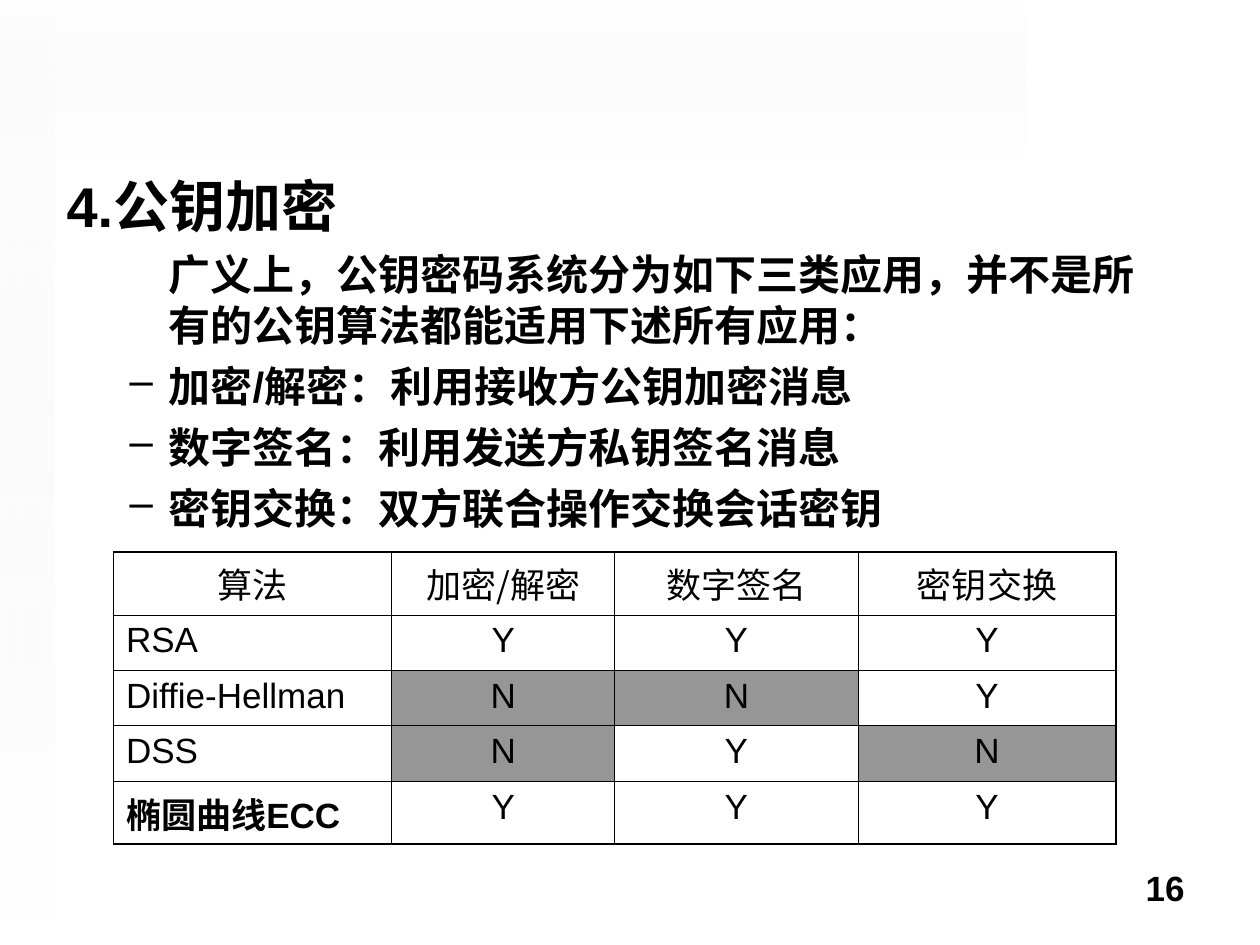
"""Build the slide on public-key encryption applications."""
from dataclasses import dataclass

import lxml.etree
import pptx
import pptx.dml.color
import pptx.enum.shapes
import pptx.enum.text
import pptx.oxml.ns
import pptx.util

Inches = pptx.util.Inches
qn = pptx.oxml.ns.qn
Align = pptx.enum.text.PP_ALIGN


@dataclass(frozen=True)
class Theme:
    """Colours, fonts and sizes used on the slide."""

    ink: str = "000000"
    paper: str = "FFFFFF"
    shade: str = "969696"
    mist: str = "EAEAEA"
    latin: str = "Arial"
    chinese: str = "Noto Sans CJK SC"
    title: int = 32
    body: int = 24
    small: int = 20
    outer_line: float = 1.08
    inner_line: float = 0.45


THEME = Theme()

TITLE = "4.公钥加密"
INTRO = "广义上，公钥密码系统分为如下三类应用，并不是所有的公钥算法都能适用下述所有应用："
APPLICATIONS = [
    "加密/解密：利用接收方公钥加密消息",
    "数字签名：利用发送方私钥签名消息",
    "密钥交换：双方联合操作交换会话密钥",
]
ALGORITHMS = [
    ["算法", "加密/解密", "数字签名", "密钥交换"],
    ["RSA", "Y", "Y", "Y"],
    ["Diffie-Hellman", "N", "N", "Y"],
    ["DSS", "N", "Y", "N"],
    ["椭圆曲线ECC", "Y", "Y", "Y"],
]
COLUMN_WIDTHS = [2.21, 1.77, 1.93, 2.05]
ROW_HEIGHTS = [0.5, 0.44, 0.44, 0.44, 0.5]


def colour(value):
    """Return an RGB colour from its hexadecimal form."""
    return pptx.dml.color.RGBColor.from_string(value)


def add_element(parent, tag, **attributes):
    """Append a drawing element and return it."""
    return lxml.etree.SubElement(parent, qn(tag), attributes)


def format_paragraph(paragraph, size, bold=True, latin=THEME.latin):
    """Apply the type style to every span of a paragraph."""
    for span in paragraph.runs:
        span.font.size = pptx.util.Pt(size)
        span.font.bold = bold
        span.font.name = latin
        span.font.color.rgb = colour(THEME.ink)
        add_element(span.font._element, "a:ea", typeface=THEME.chinese)


def add_gradient_band(page, left, top, width, height, rotation, angle, opacity):
    """Add a faint background band that fades in to white."""
    band = page.shapes.add_shape(
        pptx.enum.shapes.MSO_SHAPE.RECTANGLE,
        Inches(left), Inches(top), Inches(width), Inches(height))
    band.rotation = rotation
    band.shadow.inherit = False
    band.line.fill.background()
    band.fill.gradient()
    band.fill.gradient_angle = angle
    for stop, value in zip(band.fill.gradient_stops, (THEME.mist, THEME.paper)):
        stop.color.rgb = colour(value)
    stops = band.element.spPr.iter(qn("a:srgbClr"))
    for stop, percent in zip(stops, (0, opacity)):
        add_element(stop, "a:alpha", val=str(percent * 1000))


def add_text_box(page, left, top, width, height):
    """Add a wrapping text box and return its frame."""
    box = page.shapes.add_textbox(
        Inches(left), Inches(top), Inches(width), Inches(height))
    box.text_frame.word_wrap = True
    return box.text_frame


def set_indent(paragraph, margin, first_line):
    """Set the left margin and the first-line indent."""
    properties = paragraph._p.get_or_add_pPr()
    properties.set("marL", str(Inches(margin)))
    properties.set("indent", str(Inches(first_line)))
    return properties


def add_body_paragraph(frame, text, bullet=False):
    """Add a second-level paragraph, with a dash if asked."""
    paragraph = frame.add_paragraph()
    paragraph.text = text
    paragraph.level = 1
    paragraph.space_before = pptx.util.Pt(6)
    properties = set_indent(paragraph, 0.81, -0.31 if bullet else 0)
    if bullet:
        bullet_colour = add_element(properties, "a:buClr")
        add_element(bullet_colour, "a:srgbClr", val=THEME.ink)
        add_element(properties, "a:buChar", char="–")
    format_paragraph(paragraph, THEME.body)


def add_body(page):
    """Add the heading, the introduction and the list of applications."""
    frame = add_text_box(page, 0.43, 1.31, 8.82, 3.0)
    heading = frame.paragraphs[0]
    heading.text = TITLE
    set_indent(heading, 0.38, -0.38)
    format_paragraph(heading, THEME.title)
    add_body_paragraph(frame, INTRO)
    for application in APPLICATIONS:
        add_body_paragraph(frame, application, bullet=True)


def set_borders(cell, outer_sides):
    """Draw the cell borders, heavier on the outer sides."""
    properties = cell._tc.get_or_add_tcPr()
    for side in "LRTB":
        width = THEME.outer_line if side in outer_sides else THEME.inner_line
        line = add_element(properties, f"a:ln{side}", w=str(pptx.util.Pt(width)))
        fill = add_element(line, "a:solidFill")
        add_element(fill, "a:srgbClr", val=THEME.ink)


def add_algorithm_table(page):
    """Add the table of algorithms and the applications they support."""
    last_row, last_column = len(ALGORITHMS) - 1, len(COLUMN_WIDTHS) - 1
    table = page.shapes.add_table(
        len(ALGORITHMS), len(COLUMN_WIDTHS), Inches(0.9), Inches(4.38),
        Inches(sum(COLUMN_WIDTHS)), Inches(sum(ROW_HEIGHTS))).table
    table.first_row = table.horz_banding = False
    for column, width in zip(table.columns, COLUMN_WIDTHS):
        column.width = Inches(width)
    for row, height in zip(table.rows, ROW_HEIGHTS):
        row.height = Inches(height)
    for row, texts in enumerate(ALGORITHMS):
        for column, text in enumerate(texts):
            cell = table.cell(row, column)
            edges = {"L": column == 0, "R": column == last_column,
                     "T": row == 0, "B": row == last_row}
            set_borders(cell, [side for side, outer in edges.items() if outer])
            cell.fill.solid()
            cell.fill.fore_color.rgb = colour(
                THEME.shade if text == "N" else THEME.paper)
            cell.text = text
            paragraph = cell.text_frame.paragraphs[0]
            is_label = row > 0 and column == 0
            paragraph.alignment = Align.LEFT if is_label else Align.CENTER
            format_paragraph(
                paragraph, THEME.small, bold=is_label and row == last_row,
                latin=THEME.latin if row else THEME.chinese)


def add_page_number(page, number):
    """Add the page number at the bottom right."""
    paragraph = add_text_box(page, 7.17, 6.83, 2.33, 0.52).paragraphs[0]
    paragraph.text = str(number)
    paragraph.alignment = Align.RIGHT
    format_paragraph(paragraph, THEME.small)


def main():
    """Build the deck and save it."""
    deck = pptx.Presentation()
    deck.slide_width, deck.slide_height = Inches(10), Inches(7.5)
    page = deck.slides.add_slide(deck.slide_layouts[6])
    add_gradient_band(page, 3.46, -3.46, 1.23, 8.15, 90, 0, 49)
    add_gradient_band(page, 0, 0, 0.43, 7.26, 180, 90, 65)
    add_page_number(page, 16)
    add_body(page)
    add_algorithm_table(page)
    deck.save("out.pptx")


if __name__ == "__main__":
    main()
